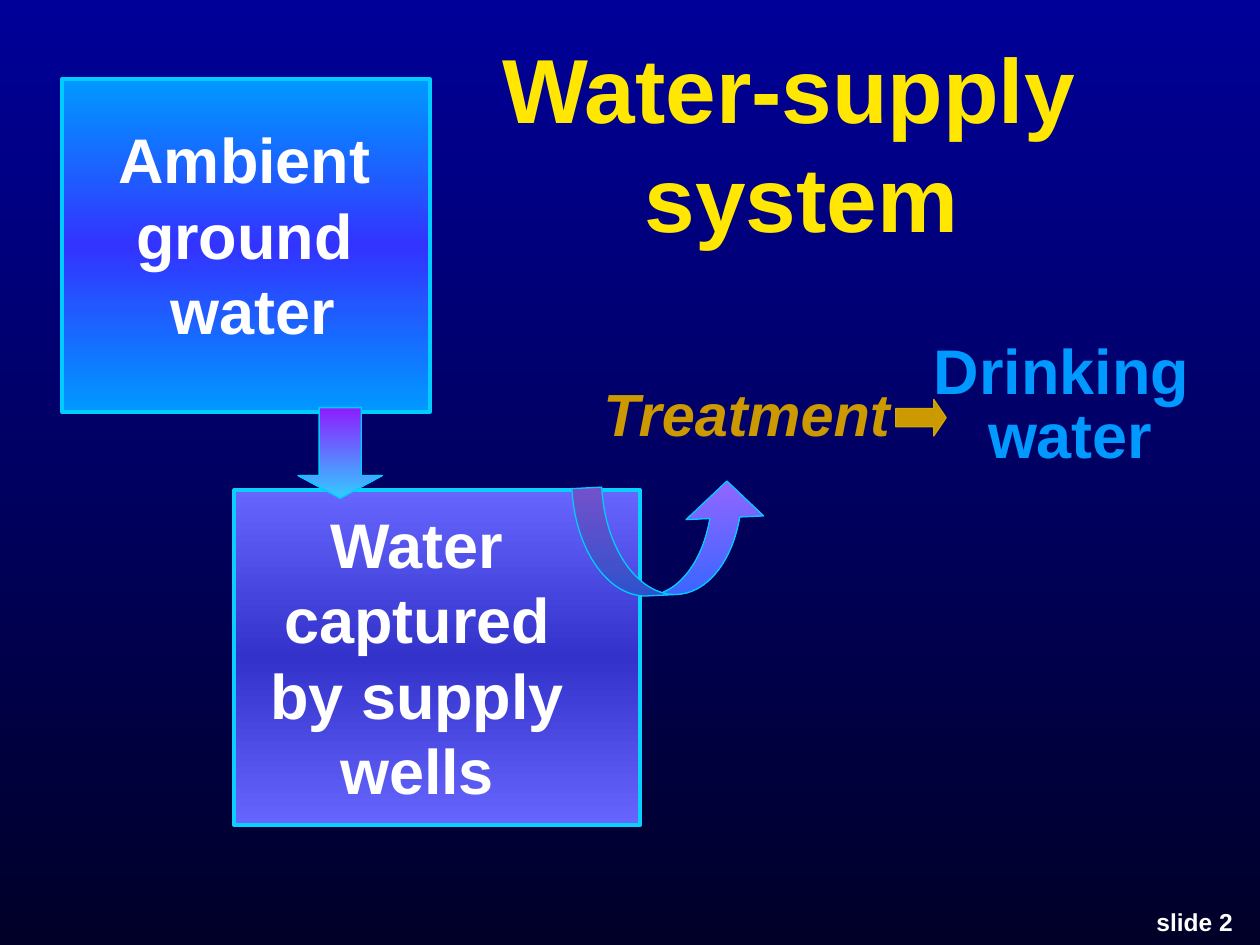
from copy import deepcopy
from pptx import Presentation
from pptx.dml.color import RGBColor
from pptx.enum.shapes import MSO_SHAPE
from pptx.enum.text import MSO_ANCHOR, PP_ALIGN
from pptx.oxml.ns import qn
from pptx.util import Inches, Pt

COLORS = {
    "background_top": "000099", "background_bottom": "000029",
    "title": "FFE701", "white": "FFFFFF", "treatment": "CC9900",
    "treatment_line": "D0A800", "drinking": "0099FF",
    "ground_middle": "3333FF", "well_edge": "6666FF",
    "well_middle": "3333CC", "well_line": "09D0FF", "cyan": "00CCFF",
    "violet": "9966FF", "blue": "3366FF",
    "purple": "8E1DFF", "sky": "33CCFF",
}
FONT = "Arial"
LINE_HEIGHT = 1.2

TITLE = ["Water-supply \vsystem"]
GROUND_WATER = ["Ambient ", "ground ", "water"]
CAPTURED_WATER = ["Water ", "captured ", "by supply ", "wells "]
TREATMENT = ["Treatment"]
DRINKING_WATER = ["Drinking ", "water"]
SLIDE_NUMBER = ["slide 2"]


def rgb(name):
    return RGBColor.from_string(COLORS[name])


def paint(fill, element, names, angle):
    if len(names) == 1:
        fill.solid()
        fill.fore_color.rgb = rgb(names[0])
        return
    fill.gradient()
    fill.gradient_angle = angle
    stop_list = next(element.iter(qn("a:gsLst")))
    for _ in names[2:]:
        stop_list.append(deepcopy(stop_list[0]))
    for index, (stop, name) in enumerate(zip(fill.gradient_stops, names)):
        stop.color.rgb = rgb(name)
        stop.position = index / (len(names) - 1)


def add_figure(shapes, kind, box, names, line, width=0.75, angle=270,
               rotation=0, adjustments=()):
    shape = shapes.add_shape(kind, *map(Inches, box))
    shape.shadow.inherit = False
    shape.rotation = rotation
    for index, value in enumerate(adjustments):
        shape.adjustments[index] = value
    paint(shape.fill, shape.element, names, angle)
    shape.line.color.rgb = rgb(line)
    shape.line.width = Pt(width)


def add_text(shapes, lines, box, size=36, color="white", italic=False,
             align=PP_ALIGN.CENTER, anchor=MSO_ANCHOR.TOP, spacing=1):
    frame = shapes.add_textbox(*map(Inches, box)).text_frame
    frame.word_wrap = True
    frame.vertical_anchor = anchor
    frame.text = "\n".join(lines)
    for paragraph in frame.paragraphs:
        paragraph.alignment = align
        paragraph.line_spacing = Pt(round(size * LINE_HEIGHT * spacing, 1))
        for run in paragraph.runs:
            run.font.name = FONT
            run.font.size = Pt(size)
            run.font.bold = True
            run.font.italic = italic
            run.font.color.rgb = rgb(color)


def main():
    presentation = Presentation()
    presentation.slide_width = Inches(10)
    presentation.slide_height = Inches(7.5)
    slide = presentation.slides.add_slide(presentation.slide_layouts[6])
    paint(slide.background.fill, slide.element,
          ["background_top", "background_bottom"], 270)
    shapes = slide.shapes

    add_text(shapes, TITLE, (2.72, 0.5, 7.28, 1.25), size=52, color="title",
             anchor=MSO_ANCHOR.MIDDLE)
    add_text(shapes, TREATMENT, (4.53, 2.94, 2.79, 0.67), size=34,
             color="treatment", italic=True)
    add_text(shapes, SLIDE_NUMBER, (9.08, 7.15, 0.9, 0.34), size=14,
             align=PP_ALIGN.LEFT)

    add_figure(shapes, MSO_SHAPE.RECTANGLE, (0.49, 0.63, 2.92, 2.64),
               ["drinking", "ground_middle", "drinking"], "cyan", width=2.25)
    add_text(shapes, GROUND_WATER, (0.84, 0.91, 2.34, 2.5))

    wells = shapes.add_group_shape().shapes
    add_figure(wells, MSO_SHAPE.RECTANGLE, (1.86, 3.89, 3.22, 2.66),
               ["well_edge", "well_middle", "well_edge"], "well_line", width=2.25)
    add_text(wells, CAPTURED_WATER, (2.02, 3.96, 2.72, 3.1))

    add_text(shapes, DRINKING_WATER, (7.31, 2.67, 2.37, 1.72),
             color="drinking", spacing=0.85)

    add_figure(shapes, MSO_SHAPE.CURVED_UP_ARROW, (4.56, 3.84, 1.54, 0.88),
               ["violet", "blue"], "cyan", rotation=357.2,
               adjustments=(0.27, 0.7, 0.33))
    add_figure(shapes, MSO_SHAPE.RIGHT_ARROW, (7.11, 3.17, 0.4, 0.29),
               ["treatment"], "treatment_line", adjustments=(0.5, 0.34))
    add_figure(shapes, MSO_SHAPE.RIGHT_ARROW, (2.34, 3.26, 0.72, 0.67),
               ["purple", "sky"], "cyan", angle=0, rotation=90,
               adjustments=(0.5, 0.27))

    presentation.save("out.pptx")


if __name__ == "__main__":
    main()
